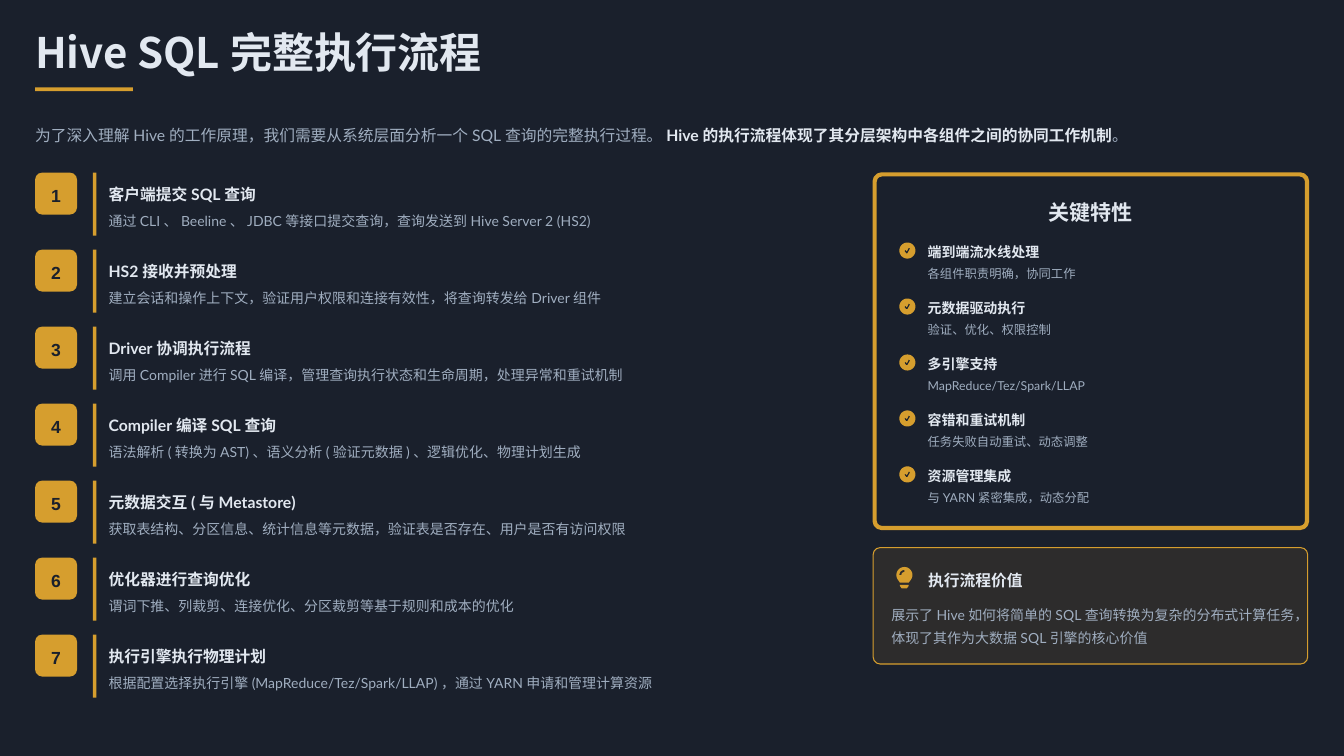
import math
from lxml import etree
from pptx import Presentation, util as u
from pptx.dml.color import RGBColor
from pptx.enum import shapes, text
from pptx.oxml.ns import qn

Cm = u.Cm
hue = RGBColor.from_string
NIGHT, GOLD, PALE, GREY = "1A202C", "D69E2E", "E2E8F0", "A0AEC0"
CJK = "Noto Sans CJK SC"
RECT = shapes.MSO_SHAPE.RECTANGLE
ROUND = shapes.MSO_SHAPE.ROUNDED_RECTANGLE

deck = Presentation()
deck.slide_width, deck.slide_height = Cm(45.16), Cm(25.4)
slide = deck.slides.add_slide(deck.slide_layouts[5])
slide.background.fill.solid()
slide.background.fill.fore_color.rgb = hue(NIGHT)


def paint(shape, fill=GOLD, line=None, width=1):
    shape.shadow.inherit = False
    if fill:
        shape.fill.solid()
        shape.fill.fore_color.rgb = hue(fill)
    else:
        shape.fill.background()
    if line:
        shape.line.color.rgb = hue(line)
        shape.line.width = u.Pt(width)
    else:
        shape.line.fill.background()


def write(shape, runs, size, color, bold=False, gap=1.3, face="Lato", side="LEFT"):
    frame = shape.text_frame
    frame.word_wrap = True
    frame.auto_size = text.MSO_AUTO_SIZE.NONE
    frame.vertical_anchor = text.MSO_ANCHOR.MIDDLE
    frame.margin_left = frame.margin_right = frame.margin_top = frame.margin_bottom = 0
    para = frame.paragraphs[0]
    for part in runs:
        para.add_run().text = part
    para.alignment = text.PP_ALIGN[side]
    para.line_spacing = gap
    font = para.font
    font.size, font.bold, font.name = u.Pt(size), bold, face
    font.color.rgb = hue(color)
    etree.SubElement(para._p.pPr.find(qn("a:defRPr")), qn("a:ea"), typeface=CJK)
    return para


draw = slide.shapes
title = draw.title
title.left, title.top, title.width, title.height = Cm(1.18), Cm(1.18), Cm(43.5), Cm(1.41)
write(title, ["Hive SQL完整执行流程"], 40, PALE, True, 0.8, CJK)
paint(draw.add_shape(RECT, Cm(1.18), Cm(2.94), Cm(3.29), Cm(0.12)))

intro = write(
    draw.add_textbox(Cm(1.18), Cm(3.99), Cm(43.08), Cm(0.87)),
    ["为了深入理解Hive的工作原理，我们需要从系统层面分析一个SQL查询的完整执行过程。",
     "Hive的执行流程体现了其分层架构中各组件之间的协同工作机制", "。"],
    15, GREY, gap=1.4)
intro.runs[1].font.bold = True
intro.runs[1].font.color.rgb = hue(PALE)

steps = [
    ("客户端提交SQL查询", "通过CLI、Beeline、JDBC等接口提交查询，查询发送到Hive Server 2 (HS2)"),
    ("HS2接收并预处理", "建立会话和操作上下文，验证用户权限和连接有效性，将查询转发给Driver组件"),
    ("Driver协调执行流程", "调用Compiler进行SQL编译，管理查询执行状态和生命周期，处理异常和重试机制"),
    ("Compiler编译SQL查询", "语法解析(转换为AST)、语义分析(验证元数据)、逻辑优化、物理计划生成"),
    ("元数据交互(与Metastore)", "获取表结构、分区信息、统计信息等元数据，验证表是否存在、用户是否有访问权限"),
    ("优化器进行查询优化", "谓词下推、列裁剪、连接优化、分区裁剪等基于规则和成本的优化"),
    ("执行引擎执行物理计划", "根据配置选择执行引擎(MapReduce/Tez/Spark/LLAP)，通过YARN申请和管理计算资源"),
]
for i, (head, body) in enumerate(steps):
    top = 5.8 + 2.587 * i
    badge = draw.add_shape(ROUND, Cm(1.18), Cm(top), Cm(1.41), Cm(1.41))
    badge.adjustments[0] = 0.17
    paint(badge)
    write(badge, [str(i + 1)], 16.7, NIGHT, True, 1.2, "Arial", "CENTER")
    paint(draw.add_shape(RECT, Cm(3.12), Cm(top), Cm(0.12), Cm(2.12)))
    write(draw.add_textbox(Cm(3.65), Cm(top + 0.24), Cm(25), Cm(0.81)), [head], 15, PALE, True)
    write(draw.add_textbox(Cm(3.65), Cm(top + 1.18), Cm(25), Cm(0.71)), [body], 13.3, GREY)

panel = draw.add_shape(ROUND, Cm(29.39), Cm(5.86), Cm(14.53), Cm(11.88))
panel.adjustments[0] = 0.02
paint(panel, None, GOLD, 4)
write(draw.add_textbox(Cm(29.97), Cm(6.63), Cm(13.34), Cm(0.94)),
      ["关键特性"], 20, PALE, True, 1.1, CJK, "CENTER")

card = draw.add_shape(ROUND, Cm(29.34), Cm(18.4), Cm(14.6), Cm(3.91))
card.adjustments[0] = 0.06
paint(card, GOLD, GOLD, 1)
tint = card.fill._xPr.find(qn("a:solidFill"))[0]
etree.SubElement(tint, qn("a:alpha"), val="10000")
write(draw.add_textbox(Cm(31.19), Cm(19), Cm(8), Cm(0.81)), ["执行流程价值"], 15, PALE, True)
write(draw.add_textbox(Cm(29.95), Cm(20.17), Cm(13.64), Cm(1.52)),
      ["展示了Hive如何将简单的SQL查询转换为复杂的分布式计算任务，体现了其作为大数据SQL引擎的核心价值"],
      13.3, GREY, gap=1.4)

arcs = []
for rad, start, stop, turn in [(0.27, 0, 360, 10), (0.27, 140, 410, 10),
                               (0.17, 180, 280, 10), (0.1, 270, 170, -10)]:
    arcs.append([(0.27 + rad * math.cos(math.radians(a)), 0.27 + rad * math.sin(math.radians(a)))
                 for a in range(start, stop, turn)])
ring, globe, outer, inner = arcs
tick = [(0.36, 0.2), (0.27, 0.36), (0.23, 0.36), (0.17, 0.28), (0.21, 0.25), (0.25, 0.3), (0.32, 0.17)]
base = [(0.12, 0.6), (0.41, 0.6), (0.41, 0.64), (0.35, 0.72), (0.18, 0.72), (0.12, 0.64)]
check = [ring, tick]
bulb = [globe + [(0.41, 0.53), (0.12, 0.53)], base, outer + inner]

traits = [
    ("端到端流水线处理", "各组件职责明确，协同工作"),
    ("元数据驱动执行", "验证、优化、权限控制"),
    ("多引擎支持", "MapReduce/Tez/Spark/LLAP"),
    ("容错和重试机制", "任务失败自动重试、动态调整"),
    ("资源管理集成", "与YARN紧密集成，动态分配"),
]
icons = [(bulb, 30.12, 19.05)]
for i, (head, body) in enumerate(traits):
    top = 8.03 + 1.88 * i
    icons.append((check, 30.22, top + 0.12))
    write(draw.add_textbox(Cm(31.17), Cm(top), Cm(11.4), Cm(0.71)), [head], 13.3, PALE, True)
    write(draw.add_textbox(Cm(31.17), Cm(top + 0.83), Cm(11.4), Cm(0.58)), [body], 11.7, GREY, gap=1.2)

for loops, left, top in icons:
    pen = None
    for loop in loops:
        dots = [(Cm(left + x), Cm(top + y)) for x, y in loop]
        if pen:
            pen.move_to(*dots[0])
        else:
            pen = draw.build_freeform(*dots[0])
        pen.add_line_segments(dots[1:], close=True)
    paint(pen.convert_to_shape())

deck.save("out.pptx")
